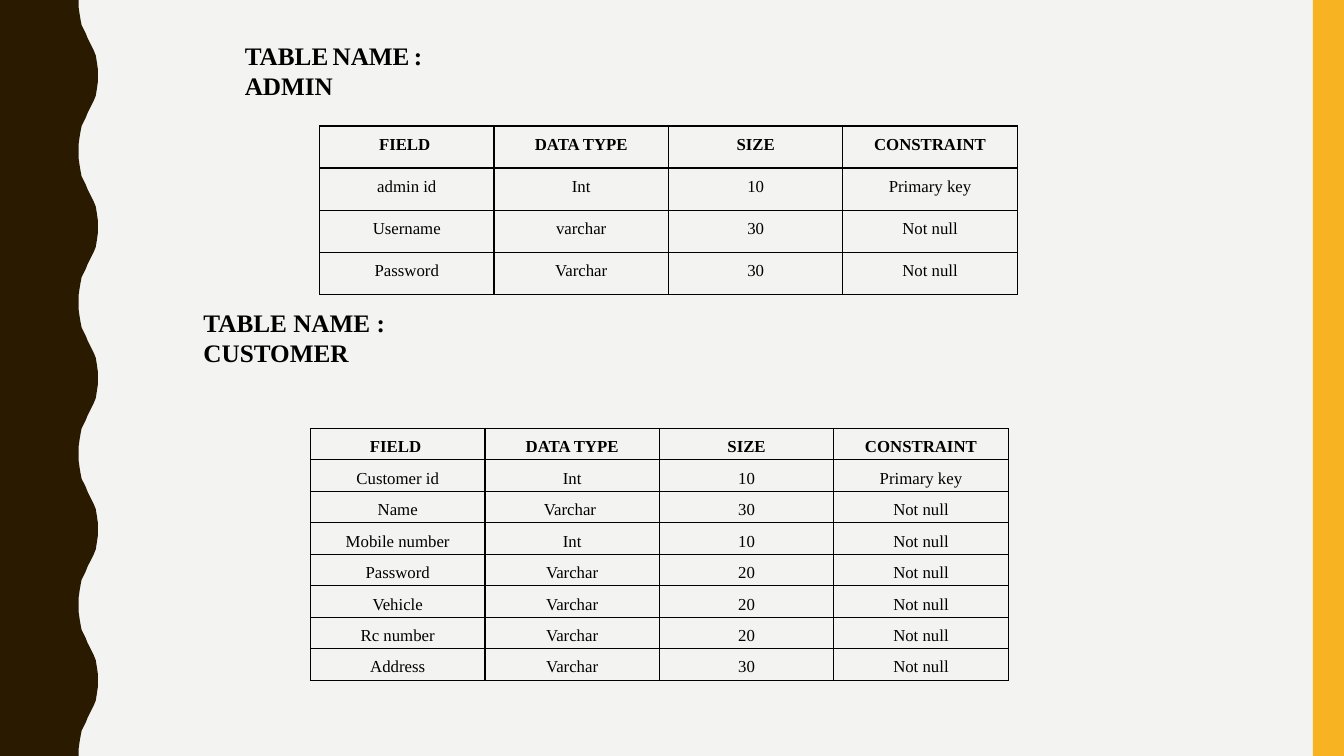
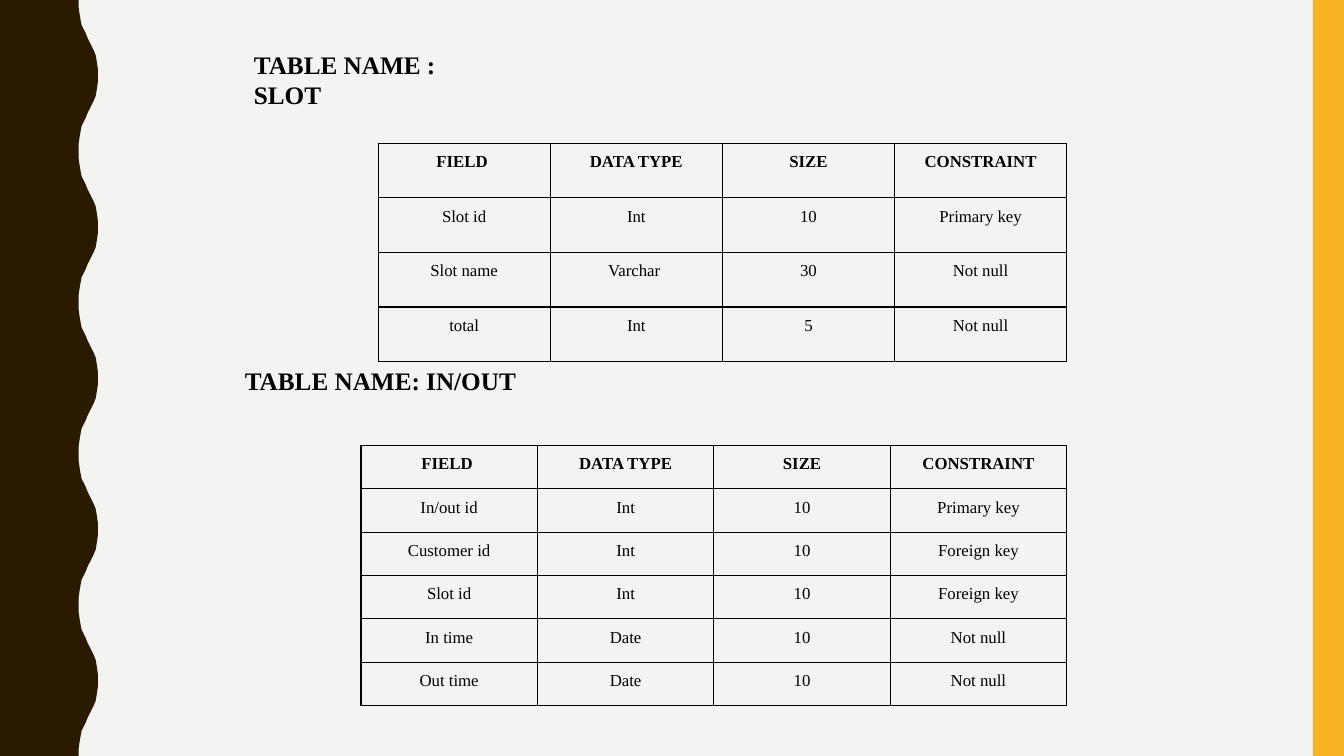
from lxml.etree import SubElement
from pptx import Presentation
from pptx.dml.color import RGBColor
from pptx.enum.shapes import MSO_SHAPE
from pptx.enum.text import MSO_ANCHOR, PP_ALIGN
from pptx.oxml.ns import qn
from pptx.util import Inches, Pt

HEADER = ("FIELD ", "DATA TYPE", "SIZE", "CONSTRAINT")
ADMIN = (
    ("admin id", "Int", "10", "Primary key"),
    ("Username", "varchar", "30", "Not null"),
    ("Password", "Varchar", "30", "Not null"),
)
CUSTOMER = (
    ("Customer id", "Int", "10", "Primary key"),
    ("Name", "Varchar ", "30", "Not null"),
    ("Mobile number", "Int", "10", "Not null"),
    ("Password", "Varchar", "20", "Not null"),
    ("Vehicle", "Varchar", "20", "Not null"),
    ("Rc number", "Varchar", "20", "Not null"),
    ("Address", "Varchar", "30", "Not null"),
)
SLOT = (
    ("Slot id", "Int", "10", "Primary key"),
    ("Slot name", "Varchar ", "30", "Not null"),
    ("total", "Int", "5", "Not null"),
)
IN_OUT = (
    ("In/out id", "Int", "10", "Primary key"),
    ("Customer id", "Int", "10", "Foreign key"),
    ("Slot id", "Int", "10", "Foreign key"),
    ("In time", "Date", "10", "Not null"),
    ("Out time", "Date", "10", "Not null"),
)


def color(code):
    """Turn a hex string into a colour."""
    return RGBColor.from_string(code)


def add_text(paragraph, text, size=12, bold=False, font="Times New Roman", ink="000000"):
    """Append a formatted run to a paragraph."""
    span = paragraph.add_run()
    span.text = text
    span.font.name = font
    span.font.size = Pt(size)
    span.font.bold = bold
    span.font.color.rgb = color(ink)


class SchemaDeck:
    """Holds the deck style and the current page."""

    WIDTH, HEIGHT = 13.33, 7.5
    PAPER, WAVE, BAND, LINE = "F3F3F2", "2A1A00", "F8B323", "000000"
    BAND_WIDTH = 0.31
    WAVE_PERIOD = 1.5
    WAVE_RISE = (
        (0.78, 0), (0.78, 0.07), (0.79, 0.14), (0.8, 0.2), (0.81, 0.25),
        (0.83, 0.29), (0.85, 0.33), (0.87, 0.38), (0.89, 0.42), (0.91, 0.46),
        (0.93, 0.5), (0.95, 0.55), (0.96, 0.61), (0.97, 0.68), (0.97, 0.75),
    )

    def __init__(self):
        """Start a deck with its size and background."""
        self.deck = Presentation()
        self.deck.slide_width = Inches(self.WIDTH)
        self.deck.slide_height = Inches(self.HEIGHT)
        background = self.deck.slide_master.background.fill
        background.solid()
        background.fore_color.rgb = color(self.PAPER)
        self.page = None

    def add_page(self):
        """Add a page with the wavy edge and the side band."""
        self.page = self.deck.slides.add_slide(self.deck.slide_layouts[6])
        self.add_wave()
        band = self.page.shapes.add_shape(
            MSO_SHAPE.RECTANGLE, Inches(self.WIDTH - self.BAND_WIDTH), 0,
            Inches(self.BAND_WIDTH), Inches(self.HEIGHT))
        self.paint(band, self.BAND)

    def paint(self, shape, fill):
        """Give a shape a flat fill without outline or shadow."""
        shape.shadow.inherit = False
        shape.fill.solid()
        shape.fill.fore_color.rgb = color(fill)
        shape.line.fill.background()

    def add_wave(self):
        """Draw the wavy left edge by repeating one mirrored rise."""
        fall = [(x, self.WAVE_PERIOD - y) for x, y in reversed(self.WAVE_RISE)]
        cycle = [*self.WAVE_RISE, *fall[1:]]
        points = [(x, y + index * self.WAVE_PERIOD)
                  for index in range(round(self.HEIGHT / self.WAVE_PERIOD))
                  for x, y in cycle]
        outline = self.page.shapes.build_freeform(0, 0)
        outline.add_line_segments(
            [(Inches(x), Inches(y)) for x, y in points] + [(0, Inches(self.HEIGHT))])
        self.paint(outline.convert_to_shape(), self.WAVE)

    def add_heading(self, text, left, top, width=3.5, height=0.4, gap_size=18):
        """Add a bold heading whose spaces may have their own size."""
        box = self.page.shapes.add_textbox(
            Inches(left), Inches(top), Inches(width), Inches(height))
        frame = box.text_frame
        frame.word_wrap = True
        frame.vertical_anchor = MSO_ANCHOR.TOP
        paragraph = frame.paragraphs[0]
        if gap_size == 18:
            add_text(paragraph, text, size=18, bold=True)
            return
        for index, word in enumerate(text.split()):
            if index:
                add_text(paragraph, " ", size=gap_size, bold=True)
            add_text(paragraph, word, size=18, bold=True)

    def add_table(self, records, left, top, width, height):
        """Add a ruled table with even rows and columns."""
        rows = (HEADER, *records)
        table = self.page.shapes.add_table(
            len(rows), len(HEADER), Inches(left), Inches(top),
            Inches(width), Inches(height)).table
        table.first_row = False
        table.horz_banding = False
        for column in table.columns:
            column.width = Inches(width / len(HEADER))
        for row, values in zip(table.rows, rows):
            row.height = Inches(height / len(rows))
            for cell, value in zip(row.cells, values):
                self.fill_cell(cell, value, bold=values is HEADER)

    def fill_cell(self, cell, text, bold):
        """Write a cell's text and rule its four sides."""
        cell.margin_left = cell.margin_right = Inches(0.07)
        cell.margin_top = cell.margin_bottom = 0
        paragraph = cell.text_frame.paragraphs[0]
        paragraph.alignment = PP_ALIGN.CENTER
        paragraph.line_spacing = 1.5
        paragraph.space_after = Pt(10)
        add_text(paragraph, text, bold=bold)
        properties = cell._tc.get_or_add_tcPr()
        for side in ("a:lnL", "a:lnR", "a:lnT", "a:lnB"):
            border = SubElement(properties, qn(side), w=str(Pt(1)))
            fill = SubElement(border, qn("a:solidFill"))
            SubElement(fill, qn("a:srgbClr"), val=self.LINE)
        cell.fill.background()


def main():
    """Build the pages of table definitions."""
    schema = SchemaDeck()

    schema.add_page()
    schema.add_table(ADMIN, 3.17, 1.25, 6.92, 1.67)
    schema.add_table(CUSTOMER, 3.08, 4.25, 6.92, 2.5)
    schema.add_heading("TABLE NAME : ADMIN", 2.33, 0.35, width=2.5, height=0.7, gap_size=12)
    schema.add_heading("TABLE NAME : CUSTOMER", 1.92, 3)

    schema.add_page()
    schema.add_table(SLOT, 3.75, 1.42, 6.83, 2.17)
    schema.add_table(IN_OUT, 3.58, 4.42, 7, 2.58)
    schema.add_heading("TABLE NAME : SLOT", 2.42, 0.44, width=2.5, height=0.7)
    schema.add_heading("TABLE NAME: IN/OUT", 2.33, 3.58)

    schema.deck.save("out.pptx")


if __name__ == "__main__":
    main()
